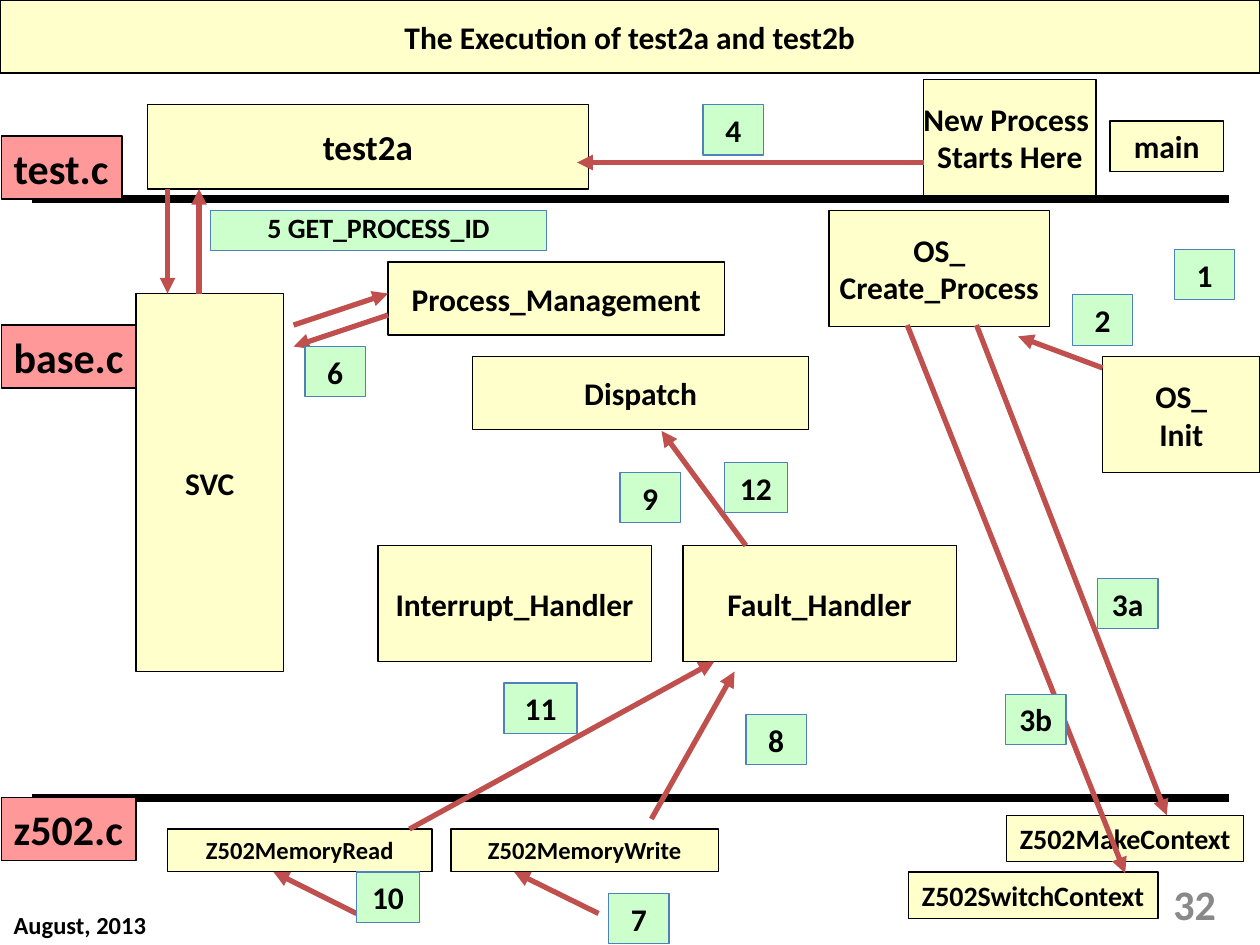
from lxml import etree
from pptx import Presentation
from pptx.dml.color import RGBColor
from pptx.enum.shapes import MSO_CONNECTOR, MSO_SHAPE
from pptx.enum.text import MSO_ANCHOR, MSO_AUTO_SIZE, PP_ALIGN
from pptx.oxml.ns import qn
from pptx.util import Inches, Pt

BLACK = RGBColor(0x00, 0x00, 0x00)
GRAY = RGBColor(0x89, 0x89, 0x89)
YELLOW = RGBColor(0xFF, 0xFF, 0xCC)
PINK = RGBColor(0xFF, 0x99, 0x99)
GREEN = RGBColor(0xCC, 0xFF, 0xCC)
BLUE = RGBColor(0x4F, 0x81, 0xBD)
RED = RGBColor(0xC0, 0x50, 0x4D)


def write_text(frame, text, size=18, color=BLACK, align=PP_ALIGN.CENTER,
               anchor=MSO_ANCHOR.MIDDLE, wrap=False, grow=False,
               space_before=None, line_spacing=None):
    """Fill a text frame, one paragraph for each line of text."""
    frame.word_wrap = wrap
    frame.vertical_anchor = anchor
    frame.auto_size = MSO_AUTO_SIZE.SHAPE_TO_FIT_TEXT if grow else MSO_AUTO_SIZE.NONE
    for index, line in enumerate(text.split("\n")):
        paragraph = frame.add_paragraph() if index else frame.paragraphs[0]
        paragraph.alignment = align
        if space_before is not None:
            paragraph.space_before = Pt(space_before)
        if line_spacing is not None:
            paragraph.line_spacing = line_spacing
        run = paragraph.add_run()
        run.text = line
        run.font.name = "Calibri"
        run.font.size = Pt(size)
        run.font.bold = True
        run.font.color.rgb = color


class Diagram:
    """Draws the call diagram's elements on one slide in a shared style."""

    def __init__(self, slide):
        self.slide = slide

    def paint(self, shape, fill, outline=BLACK):
        shape.fill.solid()
        shape.fill.fore_color.rgb = fill
        shape.line.color.rgb = outline
        shape.line.width = Pt(0.75)

    def title(self, text, width, height):
        heading = self.slide.shapes.title
        heading.left, heading.top = Inches(0), Inches(0)
        heading.width, heading.height = Inches(width), Inches(height)
        self.paint(heading, YELLOW)
        write_text(heading.text_frame, text, wrap=True)

    def box(self, text, left, top, width, height, fill=YELLOW, outline=BLACK, **text_format):
        shape = self.slide.shapes.add_shape(
            MSO_SHAPE.RECTANGLE, Inches(left), Inches(top), Inches(width), Inches(height))
        shape.shadow.inherit = False
        self.paint(shape, fill, outline)
        write_text(shape.text_frame, text, **text_format)

    def fitted_box(self, text, left, top, width, height, **options):
        """Draw a box that grows with its top-anchored text."""
        self.box(text, left, top, width, height, anchor=MSO_ANCHOR.TOP, grow=True, **options)

    def file_label(self, text, top, width):
        self.fitted_box(text, 0.01, top, width, 0.5, fill=PINK, size=24, align=PP_ALIGN.LEFT)

    def step(self, text, left, top, width=0.48, height=0.4, space_before=11.2, **options):
        self.fitted_box(text, left, top, width, height, fill=GREEN, outline=BLUE,
                        wrap=True, space_before=space_before, **options)

    def note(self, text, left, top, width, height, **text_format):
        text_box = self.slide.shapes.add_textbox(
            Inches(left), Inches(top), Inches(width), Inches(height))
        write_text(text_box.text_frame, text, **text_format)

    def line(self, start, end, color, width):
        connector = self.slide.shapes.add_connector(
            MSO_CONNECTOR.STRAIGHT, *(Inches(value) for value in (*start, *end)))
        connector.line.color.rgb = color
        connector.line.width = Pt(width)
        etree.SubElement(connector.element.spPr, qn("a:effectLst"))
        return connector

    def separator(self, top):
        self.line((0.25, top), (9.75, top), BLACK, 4.5)

    def arrow(self, start, end):
        connector = self.line(start, end, RED, 3)
        outline = connector.element.spPr.find(qn("a:ln"))
        etree.SubElement(outline, qn("a:tailEnd"), type="triangle")


FILES = [("test.c", 1.08, 0.96), ("base.c", 2.58, 1.07), ("z502.c", 6.33, 1.07)]

ROUTINES = [
    ("SVC", 1.08, 2.33, 1.17, 3),
    ("OS_\nInit", 8.75, 2.83, 1.25, 0.92),
    ("OS_\nCreate_Process", 6.58, 1.67, 1.75, 0.92),
    ("New Process \nStarts Here", 7.33, 0.63, 1.37, 0.92),
    ("Interrupt_Handler", 3, 4.33, 2.17, 0.92),
    ("Fault_Handler", 5.42, 4.33, 2.17, 0.92),
    ("Process_Management", 3.08, 2.08, 2.67, 0.58),
    ("Dispatch", 3.75, 2.83, 2.67, 0.58),
]

# text, left, top, width, height, size, wrap
ENTRY_POINTS = [
    ("main", 8.81, 0.96, 0.9, 0.4, 18, True),
    ("Z502MemoryRead", 1.33, 6.58, 2.1, 0.34, 14, True),
    ("Z502MemoryWrite", 3.58, 6.58, 2.12, 0.34, 14, True),
    ("Z502SwitchContext", 7.21, 6.92, 1.98, 0.37, 16, False),
    ("Z502MakeContext", 7.99, 6.47, 1.88, 0.37, 16, False),
]

CALLS = [
    ((8.75, 2.92), (8.08, 2.67)),
    ((7.75, 2.58), (9.26, 6.47)),
    ((7.2, 2.58), (8.93, 6.93)),
    ((7.33, 1.29), (4.58, 1.29)),
    ((1.33, 1.5), (1.33, 2.33)),
    ((1.58, 2.33), (1.58, 1.5)),
    ((2.33, 2.58), (3.08, 2.33)),
    ((3.08, 2.5), (2.33, 2.75)),
    ((4.75, 7.25), (4.08, 6.92)),
    ((5.17, 6.5), (5.83, 5.33)),
    ((5.92, 4.33), (5.25, 3.42)),
    ((2.83, 7.25), (2.17, 6.92)),
    ((3.25, 6.58), (5.67, 5.25)),
]

STEPS = [
    ("1", 9.32, 1.98), ("2", 8.51, 2.34), ("3a", 8.71, 4.59), ("3b", 7.98, 5.51),
    ("4", 5.58, 0.83), ("6", 2.42, 2.75), ("7", 4.83, 7.09), ("8", 5.92, 5.67),
    ("9", 4.92, 3.75), ("10", 2.83, 6.92, 0.5), ("11", 4, 5.42, 0.58),
    ("12", 5.75, 3.67, 0.5),
]


def main():
    presentation = Presentation()
    presentation.slide_width, presentation.slide_height = Inches(10), Inches(7.5)
    title_only = presentation.slide_layouts[5]
    diagram = Diagram(presentation.slides.add_slide(title_only))

    diagram.title("The Execution of test2a and test2b", 10, 0.58)
    diagram.note("32", 7.42, 6.97, 2.33, 0.4, size=24, color=GRAY,
                 align=PP_ALIGN.RIGHT, wrap=True)
    diagram.note("August, 2013", 0.01, 7.17, 1.25, 0.34, size=14,
                 align=PP_ALIGN.LEFT, anchor=MSO_ANCHOR.TOP, grow=True)
    for top in (1.58, 6.33):
        diagram.separator(top)
    for file in FILES:
        diagram.file_label(*file)
    diagram.box("test2a", 1.17, 0.83, 3.5, 0.67, size=20)
    for routine in ROUTINES:
        diagram.box(*routine)
    for *entry, size, wrap in ENTRY_POINTS:
        diagram.fitted_box(*entry, size=size, wrap=wrap)
    for start, end in CALLS:
        diagram.arrow(start, end)
    for step in STEPS:
        diagram.step(*step)
    diagram.step("5 GET_PROCESS_ID", 1.67, 1.67, 2.67, 0.32, size=16,
                 space_before=10, line_spacing=0.8)
    presentation.save("out.pptx")


if __name__ == "__main__":
    main()
